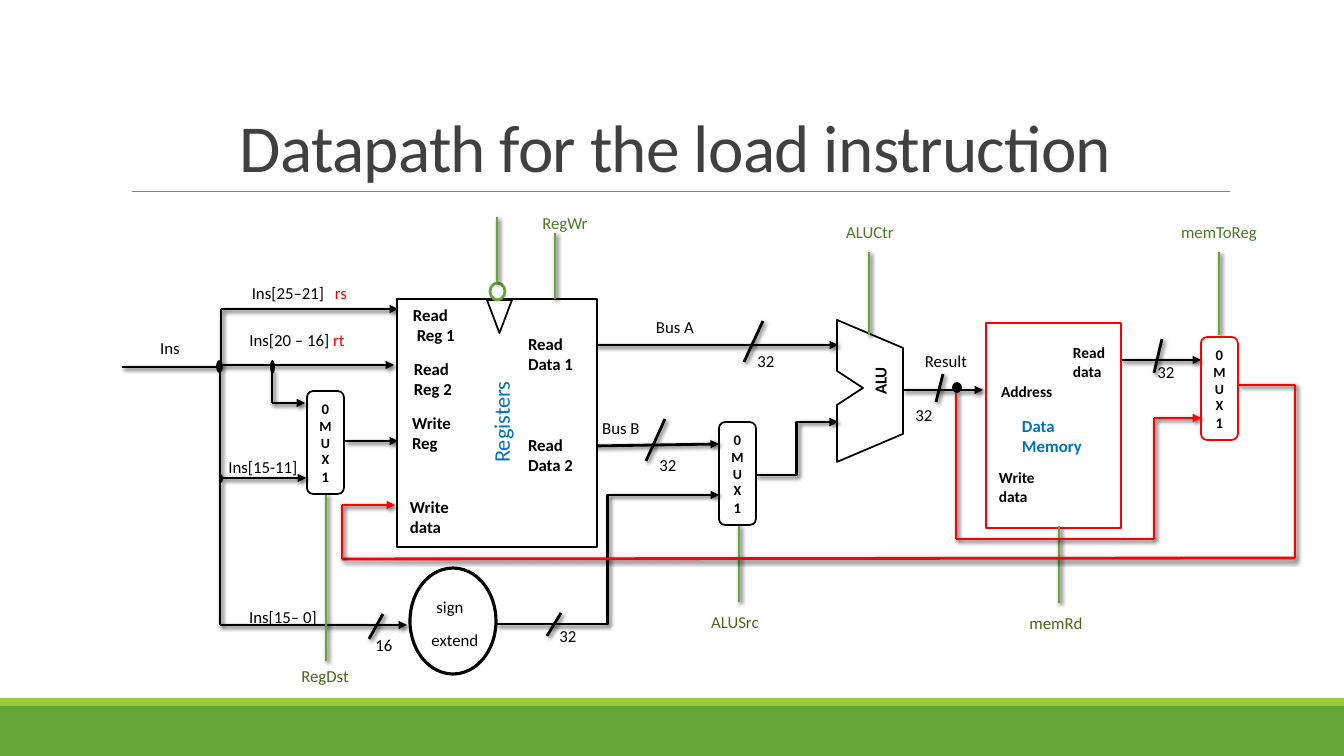
from pptx import Presentation
from pptx.dml.color import RGBColor
from pptx.enum.shapes import MSO_CONNECTOR, MSO_SHAPE
from pptx.enum.text import MSO_ANCHOR, PP_ALIGN
from pptx.oxml import parse_xml
from pptx.oxml.ns import nsdecls
from pptx.util import Pt

STRAIGHT, ELBOW = MSO_CONNECTOR.STRAIGHT, MSO_CONNECTOR.ELBOW
RECT, ROUND, OVAL = MSO_SHAPE.RECTANGLE, MSO_SHAPE.ROUNDED_RECTANGLE, MSO_SHAPE.OVAL
CLOCK = MSO_SHAPE.FLOWCHART_MERGE
LEFT, CENTER = PP_ALIGN.LEFT, PP_ALIGN.CENTER
MIDDLE, BOTTOM = MSO_ANCHOR.MIDDLE, MSO_ANCHOR.BOTTOM

PIXEL = 914400 / 100.8
BLACK, WHITE, RED, BLUE = "000000", "FFFFFF", "FF0000", "0070C0"
GREEN, LIME, GRAY = "63A537", "99CB38", "808080"
TOP_SIGNAL, BOTTOM_SIGNAL = "4A7C29", "4D671B"

TITLE = "Datapath for the load instruction"
BANDS = [(0, 706, 1344, 50, GREEN), (0, 698, 1344, 8, LIME)]
ALU = [(837, 320), (903, 348), (903, 434), (837, 462), (837, 405), (863, 388), (837, 371)]

ARROWS = [
    (BLACK, [(221, 309), (398, 309)]),
    (BLACK, [(218, 365), (394, 365)]),
    (BLACK, [(220, 367), (220, 478), (306, 478)]),
    (BLACK, [(220, 480), (220, 625), (407, 625)]),
    (BLACK, [(272, 370), (272, 403), (305, 403)]),
    (BLACK, [(345, 441), (398, 441)]),
    (BLACK, [(595, 345), (838, 345)]),
    (BLACK, [(592, 446), (719, 444)]),
    (BLACK, [(903, 390), (983, 390)]),
    (BLACK, [(1121, 360), (1201, 360)]),
]
FEEDBACK = [
    (RED, [(1238, 385), (1295, 385), (1295, 558), (342, 559), (342, 505), (395, 505)]),
    (RED, [(956, 391), (956, 539), (1154, 539), (1154, 418), (1201, 418)]),
]
ELBOWS = [((496, 624), (719, 495)), ((756, 475), (838, 422))]
PLAIN_WIRES = [[(221, 309), (221, 368)], [(122, 367), (218, 367)]]
BUS_SLASHES = [
    [(763, 321), (744, 362)], [(665, 419), (646, 461)], [(943, 374), (936, 402)],
    [(383, 614), (369, 639)], [(561, 613), (547, 636)], [(1162, 339), (1154, 373)],
]
CONTROLS = [(869, 335, 252), (555, 299, 233), (497, 283, 217), (326, 494, 661),
            (739, 525, 602), (1219, 335, 252), (1059, 526, 603)]
BLOCKS = [
    (RECT, 397, 299, 200, 248, WHITE, BLACK, 1.25),
    (CLOCK, 487, 300, 25, 33, WHITE, BLACK, 1.25),
    (OVAL, 490, 283, 15, 17, WHITE, GREEN, 2),
    (OVAL, 410, 568, 86, 106, WHITE, BLACK, 2.25),
    (RECT, 986, 323, 135, 205, None, RED, 1.25),
]
JUNCTIONS = [(217, 361, 5, 11), (271, 361, 3, 12), (220, 475, 2, 7), (953, 383, 8, 9)]
MUXES = [(307, 391, BLACK), (719, 422, BLACK), (1201, 337, RED)]
MUX_LINES = [("0", 10.5), ("M", 10), ("U", 10), ("X", 10), ("1", 10.5)]

SIGNALS = [
    ("Ins", 170, 348, BLACK), ("Ins[25–21]", 288, 293, BLACK), ("rs", 341, 293, RED),
    ("Ins[15-11]", 263, 467, BLACK), ("Ins[15– 0]", 283, 617, BLACK),
    ("Bus A", 675, 327, BLACK), ("Bus B", 621, 428, BLACK), ("Result", 946, 361, BLACK),
    ("sign", 450, 607, BLACK), ("extend", 455, 640, BLACK),
    ("16", 384, 645, BLACK), ("32", 766, 361, BLACK), ("32", 668, 465, BLACK),
    ("32", 924, 415, BLACK), ("32", 568, 636, BLACK), ("32", 1166, 372, BLACK),
    ("RegWr", 565, 223, TOP_SIGNAL), ("ALUCtr", 870, 232, TOP_SIGNAL),
    ("memToReg", 1219, 232, TOP_SIGNAL), ("RegDst", 325, 676, BOTTOM_SIGNAL),
    ("ALUSrc", 735, 622, BOTTOM_SIGNAL), ("memRd", 1056, 623, BOTTOM_SIGNAL),
]
PORTS = [
    (["Read", " Reg 1"], 413, 325, 12, BLACK), (["Read", "Reg 2"], 414, 379, 12, BLACK),
    (["Write", "Reg"], 412, 433, 12, BLACK), (["Write", "data"], 410, 517, 12, BLACK),
    (["Read", "Data 1"], 528, 354, 12, BLACK), (["Read", "Data 2"], 528, 455, 12, BLACK),
    (["Address"], 1001, 391, 11, BLACK), (["Write", "data"], 999, 487, 11, BLACK),
    (["Read", "data"], 1073, 362, 11, BLACK), (["Data", "Memory"], 1022, 436, 12, BLUE),
]
UPRIGHT = [("ALU", 880, 381, 12, BLACK, True), ("Registers", 501, 422, 16, BLUE, False)]

prs = Presentation()
prs.slide_width, prs.slide_height = round(1344 * PIXEL), round(756 * PIXEL)
slide = prs.slides.add_slide(prs.slide_layouts[6])
shapes = slide.shapes


def px(*lengths):
    return [round(length * PIXEL) for length in lengths]


def rgb(code):
    return RGBColor.from_string(code)


def paint(shape, fill, line, width=1.25):
    shape.shadow.inherit = False
    if fill:
        shape.fill.solid()
        shape.fill.fore_color.rgb = rgb(fill)
    else:
        shape.fill.background()
    if line:
        shape.line.color.rgb = rgb(line)
        shape.line.width = Pt(width)
    else:
        shape.line.fill.background()
    return shape


def block(kind, x, y, w, h, fill, line, width=1.25):
    return paint(shapes.add_shape(kind, *px(x, y, w, h)), fill, line, width)


def write(shape, lines, align=CENTER, anchor=MIDDLE):
    frame = shape.text_frame
    frame.word_wrap = True
    frame.vertical_anchor = anchor
    frame.margin_left = frame.margin_right = frame.margin_top = frame.margin_bottom = 0
    for number, runs in enumerate(lines):
        paragraph = frame.add_paragraph() if number else frame.paragraphs[0]
        paragraph.alignment = align
        for text, size, color, bold in runs:
            run = paragraph.add_run()
            run.text = text
            run.font.name, run.font.size, run.font.bold = "Calibri", Pt(size), bold
            run.font.color.rgb = rgb(color)
    return frame


def label(lines, x, y, w=110, h=42, align=CENTER):
    left = x if align == LEFT else x - w / 2
    box = shapes.add_textbox(*px(left, y - h / 2, w, h))
    write(box, lines, align)
    return box


def connect(start, end, color, arrow=False, kind=STRAIGHT, width=2, shadow=True):
    wire = shapes.add_connector(kind, *px(*start, *end))
    wire.line.color.rgb = rgb(color)
    wire.line.width = Pt(width)
    if arrow:
        wire.line._get_or_add_ln().append(parse_xml(f'<a:tailEnd {nsdecls("a")} type="triangle"/>'))
    cast = ('<a:outerShdw blurRad="38100" dist="25400" dir="2700000" rotWithShape="0">'
            f'<a:srgbClr val="{BLACK}"><a:alpha val="60000"/></a:srgbClr></a:outerShdw>')
    wire._element.spPr.append(
        parse_xml(f'<a:effectLst {nsdecls("a")}>{cast if shadow else ""}</a:effectLst>'))


def route(color, points, arrow=False):
    last = len(points) - 2
    for number, (start, end) in enumerate(zip(points, points[1:])):
        connect(start, end, color, arrow and number == last)


for *place, color in BANDS:
    block(RECT, *place, color, None)
connect((132, 191), (1230, 191), GRAY, width=0.5, shadow=False)
title = write(shapes.add_textbox(*px(121, 31, 1109, 155)), [[(TITLE, 48, "404040", False)]], anchor=BOTTOM)
title.paragraphs[0].line_spacing = 0.85
title.paragraphs[0].runs[0].font._element.set("spc", "-50")

outline = shapes.build_freeform(*ALU[0], scale=PIXEL)
outline.add_line_segments(ALU[1:], close=True)
paint(outline.convert_to_shape(), WHITE, BLACK)

for color, points in ARROWS:
    route(color, points, True)
for points in PLAIN_WIRES + BUS_SLASHES:
    route(BLACK, points)
for start, end in ELBOWS:
    connect(start, end, BLACK, True, ELBOW)
for part in BLOCKS:
    block(*part)
for x, start, end in CONTROLS:
    connect((x, start), (x, end), GREEN)
for color, points in FEEDBACK:
    route(color, points, True)
for place in JUNCTIONS:
    block(OVAL, *place, BLACK, BLACK)
for x, y, color in MUXES:
    mux = block(ROUND, x, y, 37, 103, None, color)
    write(mux, [[(text, size, BLACK, True)] for text, size in MUX_LINES])

for text, x, y, color in SIGNALS:
    label([[(text, 12, color, False)]], x, y, h=20)
label([[("Ins[20 – 16] ", 12, BLACK, False), ("rt", 12, RED, False)]], 297, 340, h=20)
for lines, x, y, size, color in PORTS:
    label([[(line, size, color, True)] for line in lines], x, y, w=68, align=LEFT)
for text, x, y, size, color, bold in UPRIGHT:
    label([[(text, size, color, bold)]], x, y, h=24).rotation = 270

prs.save("out.pptx")
